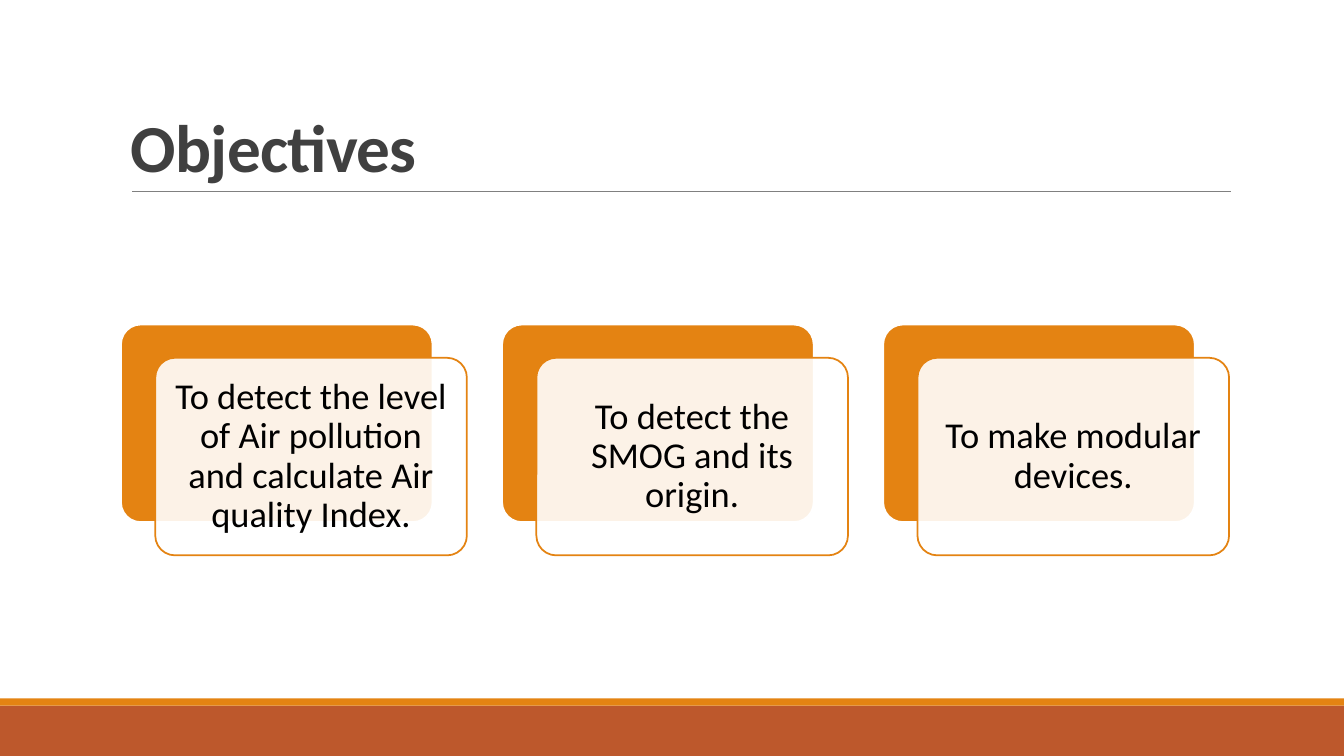
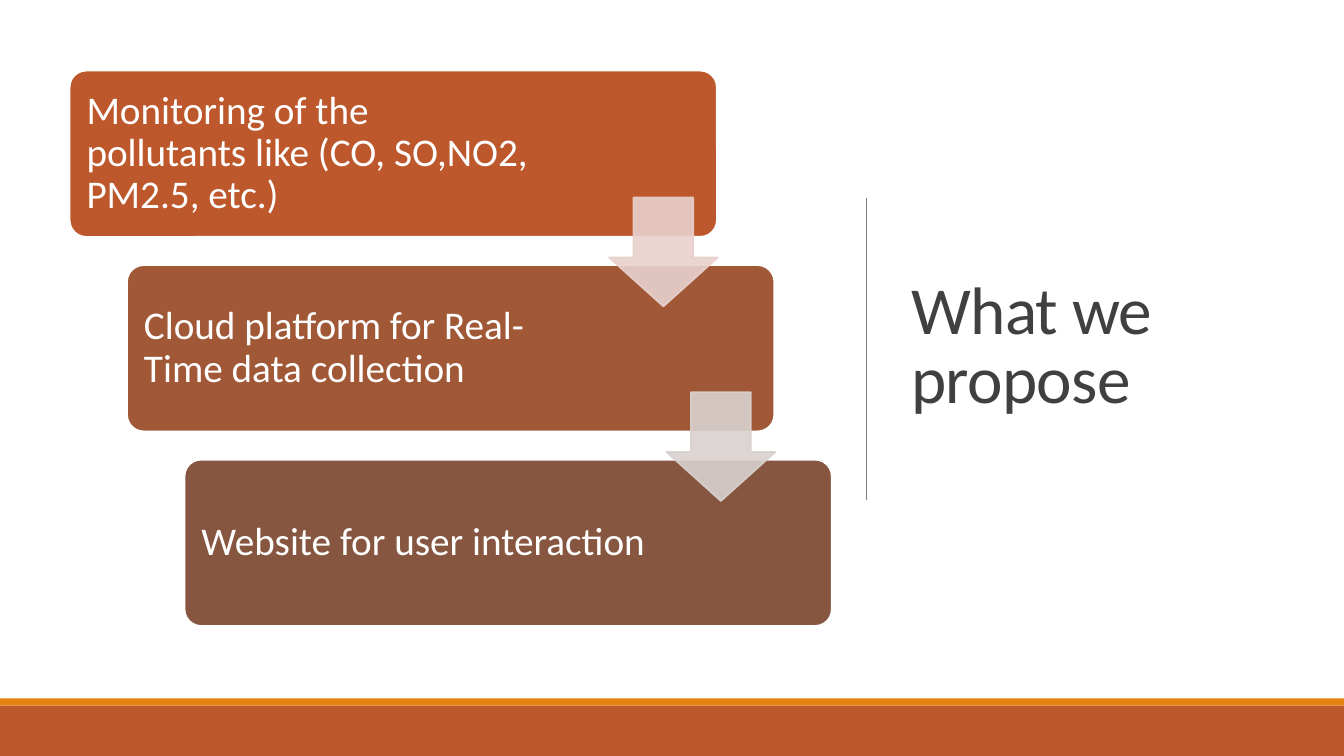
from dataclasses import dataclass

from pptx import Presentation
from pptx.dml.color import RGBColor
from pptx.enum.shapes import MSO_CONNECTOR, MSO_SHAPE
from pptx.enum.text import MSO_ANCHOR, PP_ALIGN
from pptx.oxml.ns import qn
from pptx.oxml.xmlchemy import OxmlElement
from pptx.shapes.autoshape import Shape
from pptx.slide import Slide
from pptx.util import Inches, Pt

FONT = "Calibri"
COLORS = {
    "rust": "BD582C",
    "orange": "E48312",
    "sienna": "A05837",
    "brown": "865640",
    "pink": "E8D1CD",
    "taupe": "D9D1CF",
    "rule": "808080",
    "title": "404040",
    "black": "000000",
    "white": "FFFFFF",
}


@dataclass(frozen=True)
class Area:
    left: float
    top: float
    width: float
    height: float

    def shifted(self, right: float, down: float) -> "Area":
        return Area(self.left + right, self.top + down, self.width, self.height)

    def lengths(self) -> tuple:
        return tuple(Inches(n) for n in (self.left, self.top, self.width, self.height))


@dataclass(frozen=True)
class Step:
    text: str
    color: str
    right_inset: float


CARDS = [
    "To detect the level of Air pollution and calculate Air quality Index.",
    "To detect the SMOG and its origin.",
    "To make modular devices.",
]
CARD_AREA = Area(1.2, 3.22, 3.09, 1.96)
CARD_PITCH = 3.78
CARD_OFFSET = (0.34, 0.33)

STEPS = [
    Step("Monitoring of the pollutants like (CO, SO,NO2, PM2.5, etc.)", "rust", 1.8),
    Step("Cloud platform for Real-Time data collection", "sienna", 1.76),
    Step("Website for user interaction", "brown", 1.76),
]
STEP_AREA = Area(0.69, 0.7, 6.42, 1.65)
ARROW_AREA = Area(6.04, 1.96, 1.08, 1.08)
ARROW_COLORS = ["pink", "taupe"]
STEP_SHIFT = (0.57, 1.93)


def rgb(name: str) -> RGBColor:
    return RGBColor.from_string(COLORS[name])


def set_opacity(parent, percent: int) -> None:
    """Make the solid fill directly inside a shape's or line's properties translucent."""
    color = parent.find(qn("a:solidFill")).find(qn("a:srgbClr"))
    alpha = OxmlElement("a:alpha")
    alpha.set("val", str(percent * 1000))
    color.append(alpha)


def write_text(box: Shape, text: str, *, size: float, color: str, bold: bool = False,
               align: PP_ALIGN = PP_ALIGN.LEFT, anchor: MSO_ANCHOR = MSO_ANCHOR.MIDDLE,
               line_spacing: float = 0.9, tracking: float = 0,
               insets: tuple = (0.1, 0.05, 0.1, 0.05)) -> None:
    """Fill a box with one formatted paragraph; insets run left, top, right, bottom."""
    frame = box.text_frame
    frame.word_wrap = True
    frame.vertical_anchor = anchor
    (frame.margin_left, frame.margin_top,
     frame.margin_right, frame.margin_bottom) = (Inches(inset) for inset in insets)
    para = frame.paragraphs[0]
    para.alignment = align
    para.line_spacing = line_spacing
    span = para.add_run()
    span.text = text
    span.font.name = FONT
    span.font.size = Pt(size)
    span.font.bold = bold
    span.font.color.rgb = rgb(color)
    if tracking:
        span.font._element.set("spc", str(round(tracking * 100)))


def add_block(page: Slide, kind: MSO_SHAPE, area: Area, fill: str, *,
              line: str | None = None, adjustments: tuple = (),
              fill_opacity: int = 100, line_opacity: int = 100) -> Shape:
    block = page.shapes.add_shape(kind, *area.lengths())
    block.shadow.inherit = False
    for index, value in enumerate(adjustments):
        block.adjustments[index] = value
    block.fill.solid()
    block.fill.fore_color.rgb = rgb(fill)
    if line:
        block.line.color.rgb = rgb(line)
        block.line.width = Pt(1.25)
    else:
        block.line.fill.background()
    properties = block._element.spPr
    if fill_opacity < 100:
        set_opacity(properties, fill_opacity)
    if line_opacity < 100:
        set_opacity(properties.find(qn("a:ln")), line_opacity)
    return block


def add_rule(page: Slide, start: tuple, end: tuple) -> None:
    rule = page.shapes.add_connector(
        MSO_CONNECTOR.STRAIGHT, *(Inches(n) for n in (*start, *end)))
    rule.line.color.rgb = rgb("rule")
    rule.line.width = Pt(0.5)
    rule._element.spPr.append(OxmlElement("a:effectLst"))


def add_title(page: Slide, text: str, area: Area, anchor: MSO_ANCHOR,
              bold: bool = False) -> None:
    box = page.shapes.add_textbox(*area.lengths())
    write_text(box, text, size=48, color="title", bold=bold, anchor=anchor,
               line_spacing=0.85, tracking=-0.5)


def add_page(deck: Presentation) -> Slide:
    """Add a blank page with the two footer bands."""
    page = deck.slides.add_slide(deck.slide_layouts[6])
    add_block(page, MSO_SHAPE.RECTANGLE, Area(0, 7, 13.33, 0.5), "rust")
    add_block(page, MSO_SHAPE.RECTANGLE, Area(0, 6.93, 13.33, 0.07), "orange")
    return page


def build_objectives(deck: Presentation) -> None:
    page = add_page(deck)
    add_rule(page, (1.31, 1.9), (12.21, 1.9))
    add_title(page, "Objectives", Area(1.2, 0.31, 11, 1.59), MSO_ANCHOR.BOTTOM, bold=True)

    # Each card is a translucent panel over an orange backing
    for index, text in enumerate(CARDS):
        backing = CARD_AREA.shifted(index * CARD_PITCH, 0)
        add_block(page, MSO_SHAPE.ROUNDED_RECTANGLE, backing, "orange",
                  line="white", adjustments=(0.1,))
        panel = add_block(page, MSO_SHAPE.ROUNDED_RECTANGLE, backing.shifted(*CARD_OFFSET),
                          "white", line="orange", adjustments=(0.1,), fill_opacity=90)
        write_text(panel, text, size=26, color="black", align=PP_ALIGN.CENTER,
                   insets=(0.11,) * 4)


def build_proposal(deck: Presentation) -> None:
    page = add_page(deck)
    add_title(page, "What we propose", Area(8.94, 0.69, 3.69, 5.53), MSO_ANCHOR.MIDDLE)
    add_rule(page, (8.59, 1.96), (8.59, 4.96))

    # Staircase of steps
    right, down = STEP_SHIFT
    for index, step in enumerate(STEPS):
        block = add_block(page, MSO_SHAPE.ROUNDED_RECTANGLE,
                          STEP_AREA.shifted(index * right, index * down), step.color,
                          line="white", adjustments=(0.1,))
        write_text(block, step.text, size=28, color="white",
                   insets=(0.12, 0.12, step.right_inset, 0.12))

    # Arrows from each step to the next
    for index, color in enumerate(ARROW_COLORS):
        add_block(page, MSO_SHAPE.DOWN_ARROW,
                  ARROW_AREA.shifted(index * right, index * down), color, line=color,
                  adjustments=(0.55, 0.45), fill_opacity=90, line_opacity=90)


def main() -> None:
    deck = Presentation()
    deck.slide_width = Inches(13.33)
    deck.slide_height = Inches(7.5)
    build_objectives(deck)
    build_proposal(deck)
    deck.save("out.pptx")


if __name__ == "__main__":
    main()
